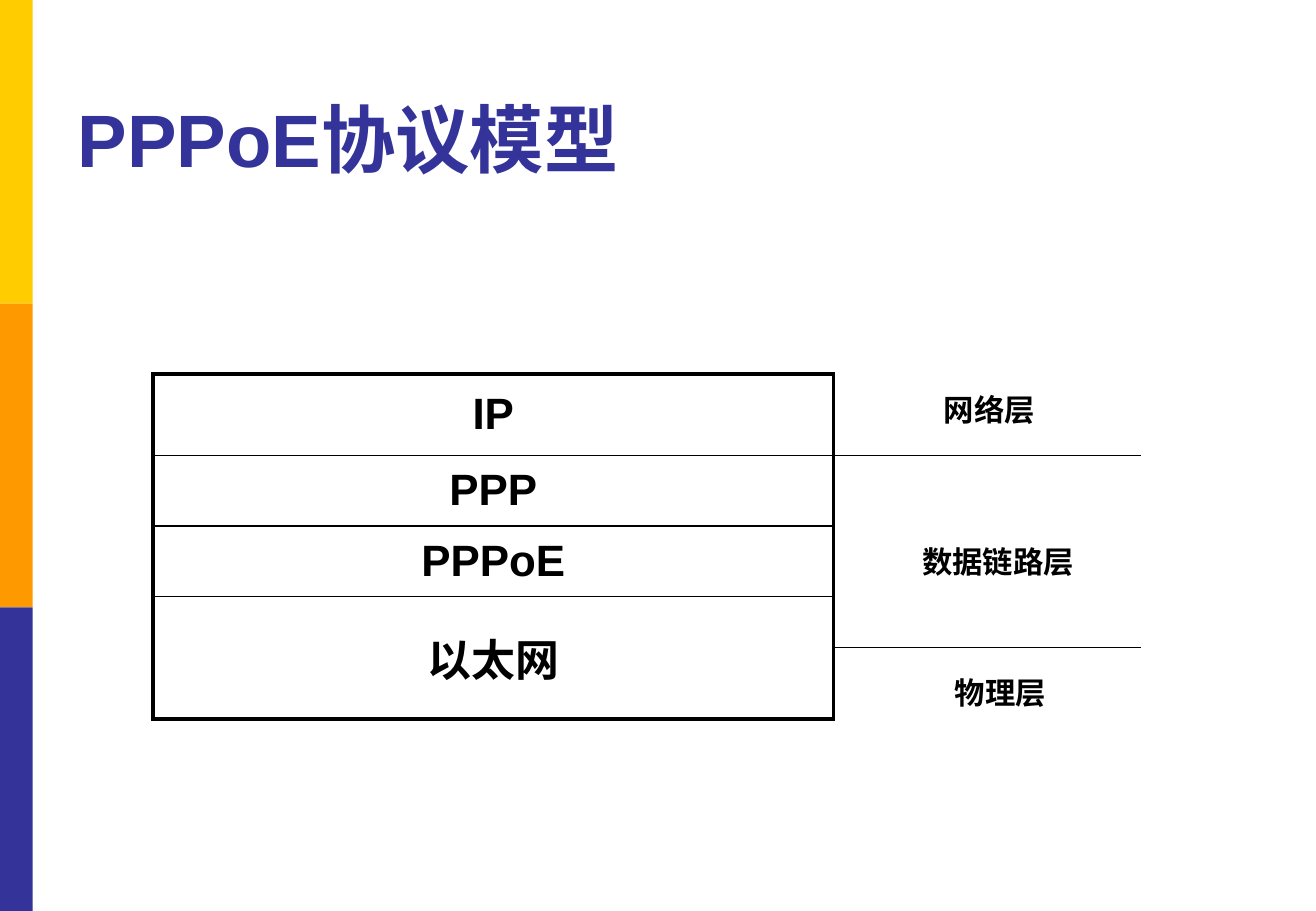
"""Build the PPPoE protocol model slide."""
import pptx
import pptx.util
import pptx.dml.color
import pptx.enum.text
import pptx.enum.shapes
import pptx.oxml
import pptx.oxml.ns

Inches = pptx.util.Inches
Pt = pptx.util.Pt
RGBColor = pptx.dml.color.RGBColor
MSO_ANCHOR = pptx.enum.text.MSO_ANCHOR
PP_ALIGN = pptx.enum.text.PP_ALIGN

YELLOW = RGBColor(0xFF, 0xCC, 0x00)
ORANGE = RGBColor(0xFF, 0x99, 0x00)
INDIGO = RGBColor(0x33, 0x33, 0x99)
BLACK = RGBColor(0x00, 0x00, 0x00)


def write(frame, text, size, color, align):
    frame.text = text
    paragraph = frame.paragraphs[0]
    paragraph.alignment = align
    font = paragraph.runs[0].font
    font_format = {"name": "Arial", "size": Pt(size), "bold": True}
    for attribute, value in font_format.items():
        setattr(font, attribute, value)
    font.color.rgb = color


def add_border(cell, side, width):
    cell._tc.get_or_add_tcPr().append(pptx.oxml.parse_xml(
        f'<a:{side} {pptx.oxml.ns.nsdecls("a")} w="{Pt(width)}">'
        f'<a:solidFill><a:srgbClr val="{BLACK}"/></a:solidFill></a:{side}>'))


presentation = pptx.Presentation()
presentation.slide_width = Inches(10.83)
presentation.slide_height = Inches(7.5)
slide = presentation.slides.add_slide(presentation.slide_layouts[5])
shapes = slide.shapes

for index, color in enumerate((YELLOW, ORANGE, INDIGO)):
    band = shapes.add_shape(pptx.enum.shapes.MSO_SHAPE.RECTANGLE,
                            0, Inches(2.5 * index), Inches(0.27), Inches(2.5))
    band.shadow.inherit = False
    band.fill.solid()
    band.fill.fore_color.rgb = color
    band.line.fill.background()

title = shapes.title
title_place = {"left": 0.54, "top": 0.13, "width": 8.94, "height": 1.42}
for attribute, value in title_place.items():
    setattr(title, attribute, Inches(value))
title.text_frame.vertical_anchor = MSO_ANCHOR.BOTTOM
write(title.text_frame, "PPPoE协议模型", 44, INDIGO, PP_ALIGN.LEFT)

protocols = [("IP", 0.67), ("PPP", 0.58), ("PPPoE", 0.58), ("以太网", 1.01)]
stack = shapes.add_table(len(protocols), 1, Inches(1.26), Inches(3.08),
                         Inches(5.6), Inches(2.84)).table
stack.first_row = False
stack.horz_banding = False
cell_format = {"margin_left": Inches(0.11), "margin_right": Inches(0.11),
               "margin_top": Inches(0.05), "margin_bottom": Inches(0.05),
               "vertical_anchor": MSO_ANCHOR.MIDDLE}
last = len(protocols) - 1
for index, (protocol, height) in enumerate(protocols):
    stack.rows[index].height = Inches(height)
    cell = stack.cell(index, 0)
    for attribute, value in cell_format.items():
        setattr(cell, attribute, value)
    write(cell.text_frame, protocol, 26, BLACK, PP_ALIGN.CENTER)
    borders = {"lnL": 2.25, "lnR": 2.25,
               "lnT": 2.25 if index == 0 else 1,
               "lnB": 2.25 if index == last else 1}
    for side, width in borders.items():
        add_border(cell, side, width)
    cell.fill.background()

for divider_top in (3.75, 5.33):
    divider = shapes.add_connector(
        pptx.enum.shapes.MSO_CONNECTOR.STRAIGHT,
        Inches(6.86), Inches(divider_top), Inches(9.39), Inches(divider_top))
    divider.line.color.rgb = BLACK
    divider.line.width = Pt(0.75)
    divider._element.spPr.append(pptx.oxml.parse_xml(
        f'<a:effectLst {pptx.oxml.ns.nsdecls("a")}/>'))

layers = [("网络层", 7.67, 3.17, 0.96),
          ("数据链路层", 7.49, 4.42, 1.46),
          ("物理层", 7.76, 5.5, 0.96)]
for layer, left, top, width in layers:
    label = shapes.add_textbox(Inches(left), Inches(top), Inches(width), Inches(0.4))
    label.text_frame.word_wrap = False
    label.text_frame.auto_size = pptx.enum.text.MSO_AUTO_SIZE.SHAPE_TO_FIT_TEXT
    write(label.text_frame, layer, 18, BLACK, PP_ALIGN.LEFT)

presentation.save("out.pptx")
